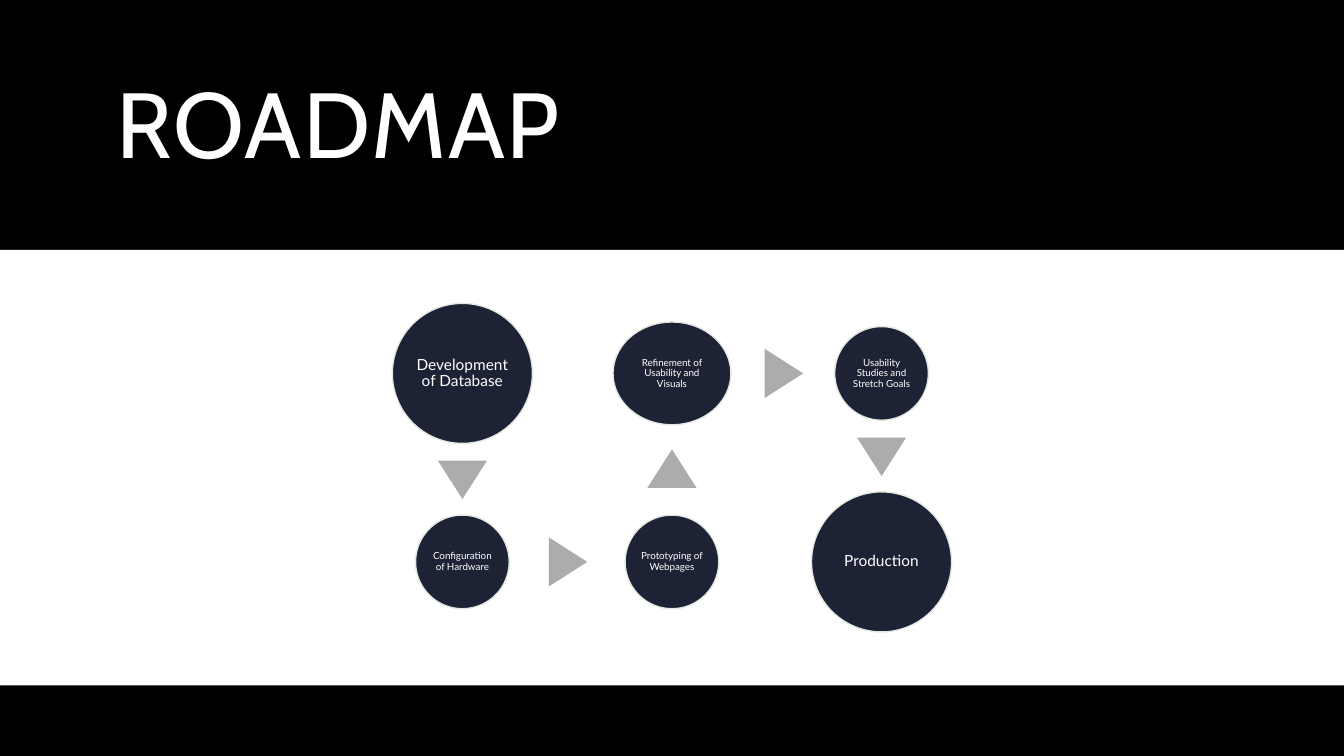
from dataclasses import dataclass

from pptx import Presentation
from pptx.dml.color import RGBColor
from pptx.enum.shapes import MSO_SHAPE
from pptx.enum.text import MSO_ANCHOR, MSO_AUTO_SIZE, PP_ALIGN
from pptx.util import Cm, Pt

RECTANGLE, OVAL, TRIANGLE = MSO_SHAPE.RECTANGLE, MSO_SHAPE.OVAL, MSO_SHAPE.ISOSCELES_TRIANGLE
MIDDLE = MSO_ANCHOR.MIDDLE
LEFT, CENTER = PP_ALIGN.LEFT, PP_ALIGN.CENTER
NO_AUTOFIT = MSO_AUTO_SIZE.NONE
TITLE_ONLY = 5

SLIDE_WIDTH, SLIDE_HEIGHT = 33.86, 19.05
BAND_TOP, BAND_HEIGHT = 6.3, 10.97
COLUMNS = [11.65 + 5.28 * column for column in range(3)]
UPPER_ROW, LOWER_ROW = 9.41, 14.16
LARGE, MEDIUM, SMALL = (3.53, 3.53), (2.97, 2.59), (2.36, 2.36)
ARROW_SIZE = (1.24, 0.97)
UP, RIGHT, DOWN = 0, 90, 180


@dataclass(frozen=True)
class Theme:
    black: RGBColor = RGBColor(0x00, 0x00, 0x00)
    white: RGBColor = RGBColor(0xFF, 0xFF, 0xFF)
    navy: RGBColor = RGBColor(0x1D, 0x23, 0x34)
    outline: RGBColor = RGBColor(0xE2, 0xE8, 0xE2)
    gray: RGBColor = RGBColor(0xAC, 0xAC, 0xAE)
    title_font: str = "Cabin"
    body_font: str = "Lato"
    title_size: int = 66
    milestone_size: int = 11
    step_size: int = 7


class RoadmapSlide:
    """Holds the theme and the slide that elements are added to."""

    def __init__(self, slide, theme):
        self.slide = slide
        self.theme = theme

    def shape(self, kind, left, top, width, height, color):
        shape = self.slide.shapes.add_shape(kind, Cm(left), Cm(top), Cm(width), Cm(height))
        shape.shadow.inherit = False
        shape.fill.solid()
        shape.fill.fore_color.rgb = color
        shape.line.fill.background()
        return shape

    def centered_shape(self, kind, center, size, color):
        """Place a shape by its middle point."""
        (x, y), (width, height) = center, size
        return self.shape(kind, x - width / 2, y - height / 2, width, height, color)

    def set_text(self, shape, text, font_name, size, alignment):
        """Fill a shape with one formatted paragraph and return its run."""
        frame = shape.text_frame
        frame.text = text
        frame.word_wrap = True
        frame.auto_size = NO_AUTOFIT
        frame.vertical_anchor = MIDDLE
        paragraph = frame.paragraphs[0]
        paragraph.alignment = alignment
        paragraph.line_spacing = 0.9
        run = paragraph.runs[0]
        run.font.name = font_name
        run.font.size = Pt(size)
        run.font.color.rgb = self.theme.white
        return run

    def backdrop(self):
        """Put the black page and its white band behind the title."""
        page = self.shape(RECTANGLE, 0, 0, SLIDE_WIDTH, SLIDE_HEIGHT, self.theme.black)
        band = self.shape(RECTANGLE, 0, BAND_TOP, SLIDE_WIDTH, BAND_HEIGHT, self.theme.white)
        title = self.slide.shapes.title
        for shape in (page, band):
            title.element.addprevious(shape.element)

    def title(self, text):
        title = self.slide.shapes.title
        title.left, title.top, title.width, title.height = Cm(2.67), Cm(0.89), Cm(28.52), Cm(4.72)
        run = self.set_text(title, text, self.theme.title_font, self.theme.title_size, LEFT)
        run._r.get_or_add_rPr().set("spc", "120")

    def step(self, text, center, size):
        circle = self.centered_shape(OVAL, center, size, self.theme.navy)
        circle.line.color.rgb = self.theme.outline
        circle.line.width = Pt(1)
        frame = circle.text_frame
        frame.margin_left = frame.margin_right = Cm(0.03)
        frame.margin_top = frame.margin_bottom = Cm(0.03)
        text_size = self.theme.milestone_size if size == LARGE else self.theme.step_size
        self.set_text(circle, text, self.theme.body_font, text_size, CENTER)

    def arrow(self, center, rotation):
        triangle = self.centered_shape(TRIANGLE, center, ARROW_SIZE, self.theme.gray)
        triangle.rotation = rotation


def main():
    presentation = Presentation()
    presentation.slide_width = Cm(SLIDE_WIDTH)
    presentation.slide_height = Cm(SLIDE_HEIGHT)
    slide = presentation.slides.add_slide(presentation.slide_layouts[TITLE_ONLY])
    roadmap = RoadmapSlide(slide, Theme())
    roadmap.backdrop()
    roadmap.title("ROADMAP")

    first, second, third = COLUMNS
    steps = [
        ("Development of Database", (first, UPPER_ROW), LARGE),
        ("Configuration of Hardware", (first, LOWER_ROW), SMALL),
        ("Prototyping of Webpages", (second, LOWER_ROW), SMALL),
        ("Refinement of Usability and Visuals", (second, UPPER_ROW), MEDIUM),
        ("Usability Studies and Stretch Goals", (third, UPPER_ROW), SMALL),
        ("Production", (third, LOWER_ROW), LARGE),
    ]
    arrows = [
        ((first, 12.09), DOWN),
        ((14.31, LOWER_ROW), RIGHT),
        ((second, 11.81), UP),
        ((19.75, UPPER_ROW), RIGHT),
        ((third, 11.51), DOWN),
    ]
    for text, center, size in steps:
        roadmap.step(text, center, size)
    for center, rotation in arrows:
        roadmap.arrow(center, rotation)

    presentation.save("out.pptx")


if __name__ == "__main__":
    main()
